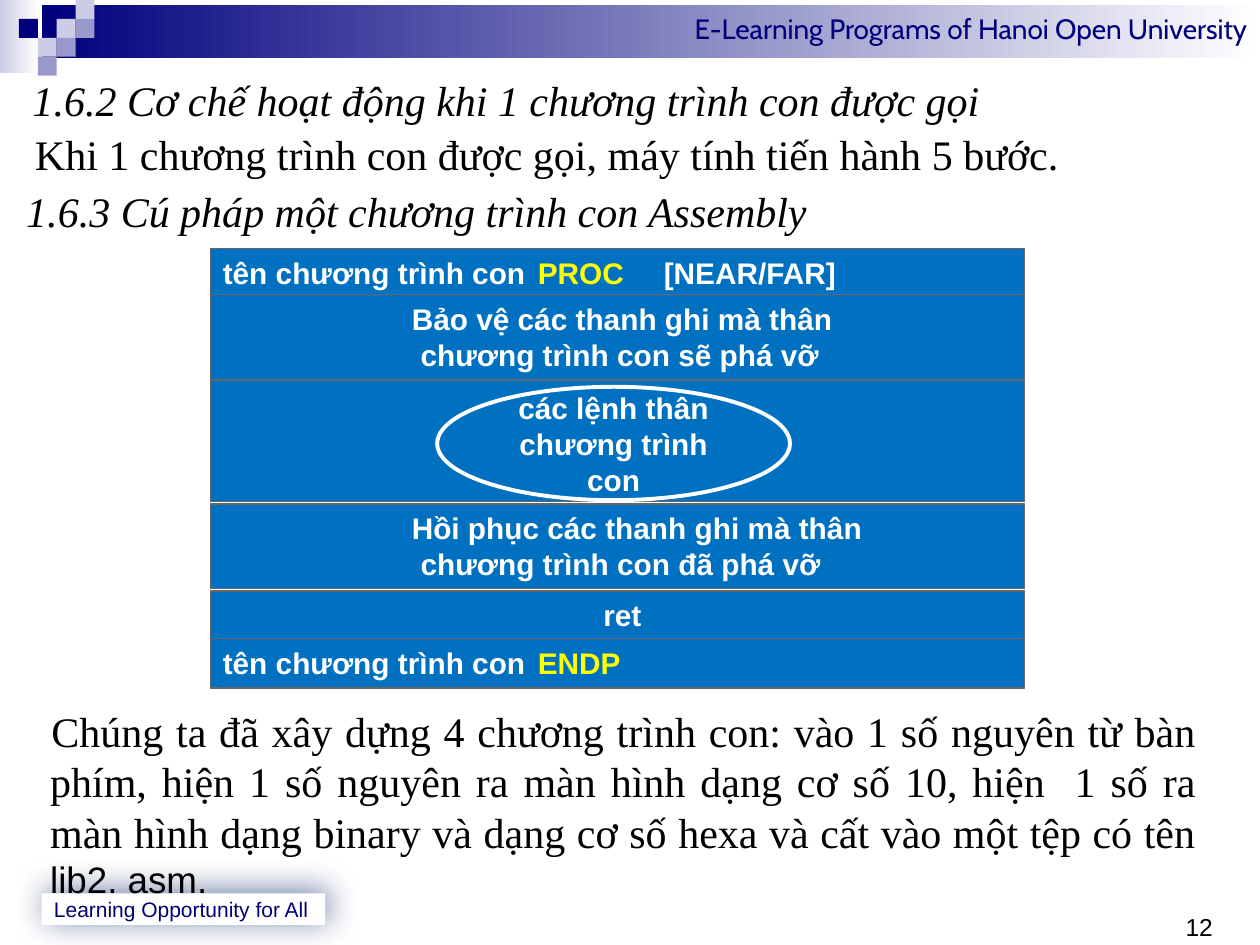
from lxml import etree
from pptx import Presentation
from pptx.dml.color import RGBColor
from pptx.enum.shapes import MSO_SHAPE
from pptx.enum.text import MSO_ANCHOR, PP_ALIGN
from pptx.oxml.ns import qn
from pptx.util import Inches, Pt

RECT, OVAL = MSO_SHAPE.RECTANGLE, MSO_SHAPE.OVAL
TOP, MIDDLE = MSO_ANCHOR.TOP, MSO_ANCHOR.MIDDLE
LEFT, CENTER = PP_ALIGN.LEFT, PP_ALIGN.CENTER
RIGHT, JUSTIFY = PP_ALIGN.RIGHT, PP_ALIGN.JUSTIFY

SERIF, SANS, HEADER_FONT = "Times New Roman", "Arial", "Cabin"
COLORS = {
    "navy": "00007D", "footer": "000072", "shadow": "002060",
    "pale": "CCCCE6", "lilac": "9999CC", "white": "FFFFFF", "black": "000000",
    "blue": "0070C0", "grey": "666666", "yellow": "FFFF00",
}
W, H = 10, 7.5
UNIT = 0.15                      # side of one checker square
ROW_X, ROW_W = 0.167 * W, 0.646 * W
INSET = 0.1                      # default side inset of a text frame

# Checker squares: column, row, colour
SQUARES = [
    (3, 1, "pale"), (4, 0, "pale"), (4, 1, "lilac"), (2, 2, "pale"),
    (1, 1, "navy"), (3, 2, "lilac"), (2, 3, "lilac"),
]
# Rows of the procedure: top, height, lines; a line is (indent, tabs, runs)
NAME = "tên chương trình con"
ROWS = [
    (1.97, 0.39, [(0, (2.86, 3.8), [(NAME + "\t", "white"), ("PROC\t", "yellow"),
                                    ("[NEAR/FAR]", "white")])]),
    (2.34, 0.67, [(1.5, (), [("Bảo vệ các thanh ghi mà thân", "white")]),
                  (1.57, (), [("chương trình con sẽ phá vỡ", "white")])]),
    (4, 0.67, [(1.5, (), [("Hồi phục các thanh ghi mà thân", "white")]),
               (1.57, (), [("chương trình con đã phá vỡ", "white")])]),
    (4.69, 0.39, [(3.02, (), [("ret", "white")])]),
    (5.07, 0.39, [(0, (2.92,), [(NAME + "\t", "white"), ("ENDP", "yellow")])]),
    (3.02, 0.96, []),
]


def rgb(name):
    return RGBColor.from_string(COLORS[name])


def add_box(s, kind, x, y, w, h, fill, line=None, width=0.75):
    """Preset shape with a plain fill, or a left-to-right gradient for a pair."""
    sp = s.shapes.add_shape(kind, Inches(x), Inches(y), Inches(w), Inches(h))
    sp.shadow.inherit = False
    if isinstance(fill, tuple):
        sp.fill.gradient()
        sp.fill.gradient_angle = 0
        for stop, name in zip(sp.fill.gradient_stops, fill):
            stop.color.rgb = rgb(name)
    else:
        sp.fill.solid()
        sp.fill.fore_color.rgb = rgb(fill)
    if line:
        sp.line.color.rgb = rgb(line)
        sp.line.width = Pt(width)
    else:
        sp.line.fill.background()
    return sp


def set_frame(sp, anchor=TOP, side=INSET, edge=0.05):
    tf = sp.text_frame
    tf.word_wrap = True
    tf.vertical_anchor = anchor
    tf.margin_left = tf.margin_right = Inches(side)
    tf.margin_top = tf.margin_bottom = Inches(edge)
    return tf


def add_text(s, x, y, w, h, side=INSET):
    return set_frame(s.shapes.add_textbox(Inches(x), Inches(y), Inches(w), Inches(h)), side=side)


def add_paragraph(tf, text, size, font, color, align=LEFT, first=True, italic=False, bold=False):
    p = tf.paragraphs[0] if first else tf.add_paragraph()
    p.alignment = align
    if text:
        p.add_run().text = text
    p.font.size, p.font.name = Pt(size), font
    p.font.italic, p.font.bold = italic, bold
    p.font.color.rgb = rgb(color)
    return p


def set_indent(p, margin, first_line=0, tabs=()):
    ppr = p._p.get_or_add_pPr()
    ppr.set("marL", str(Inches(margin)))
    ppr.set("indent", str(Inches(first_line)))
    if tabs:
        tab_list = etree.Element(qn("a:tabLst"))
        for pos in tabs:
            etree.SubElement(tab_list, qn("a:tab"), pos=str(Inches(pos)), algn="l")
        ppr.insert(0, tab_list)


def add_shadow(sp, color, alpha, blur, dist, angle):
    effects = sp._element.spPr.find(qn("a:effectLst"))
    shadow = etree.SubElement(
        effects, qn("a:outerShdw"), blurRad=str(Pt(blur)), dist=str(Pt(dist)),
        dir=str(angle * 60000), algn="bl", rotWithShape="0")
    clr = etree.SubElement(shadow, qn("a:srgbClr"), val=COLORS[color])
    etree.SubElement(clr, qn("a:alpha"), val=str(alpha * 1000))


def add_header(s):
    add_box(s, RECT, 0, 0, 0.31, 0.58, ("pale", "white"))
    band = add_box(s, RECT, 0.33, 0.04, W - 0.33, 0.42, ("navy", "white"))
    add_paragraph(set_frame(band), "E-Learning Programs of Hanoi Open University",
                  16, HEADER_FONT, "navy", RIGHT)
    for col, row, color in SQUARES:
        add_box(s, RECT, col * UNIT, row * UNIT, UNIT, UNIT, color)


def add_footer(s):
    sp = add_box(s, RECT, 0.33, 7.09, 2.25, 0.25, "white")
    add_shadow(sp, "shadow", 56, 19, 3, 315)
    add_paragraph(set_frame(sp, MIDDLE), "Learning Opportunity for All", 12, SANS, "footer")


def add_row(s, top, height, lines):
    tf = set_frame(add_box(s, RECT, ROW_X, top, ROW_W, height, "blue", "grey"))
    for i, (indent, tabs, runs) in enumerate(lines):
        p = add_paragraph(tf, "", 17, SANS, "white", first=i == 0, bold=True)
        set_indent(p, indent, tabs=tabs)
        for text, color in runs:
            r = p.add_run()
            r.text = text
            r.font.color.rgb = rgb(color)


def main():
    prs = Presentation()
    prs.slide_width, prs.slide_height = Inches(W), Inches(H)
    s = prs.slides.add_slide(prs.slide_layouts[6])
    add_header(s)
    add_footer(s)

    # Headings
    tf = add_text(s, 0.16, 0.54, 9.7, 0.9)
    add_paragraph(tf, "1.6.2 Cơ chế hoạt động khi 1 chương trình con được gọi",
                  24, SERIF, "black", italic=True)
    p = add_paragraph(tf, "Khi 1 chương trình con được gọi, máy tính tiến hành 5 bước.",
                      24, SERIF, "black", JUSTIFY, first=False)
    p.space_before = Pt(2)
    set_indent(p, 0.01, 0.01)
    tf = add_text(s, 0.11, 1.42, 9.62, 0.5)
    add_paragraph(tf, "1.6.3 Cú pháp một chương trình con Assembly",
                  24, SERIF, "black", italic=True)

    # Procedure syntax, with the body in an oval
    for row in ROWS:
        add_row(s, *row)
    oval = add_box(s, OVAL, 3.47, 3.07, 2.8, 0.9, "blue", "white", 2.25)
    add_paragraph(set_frame(oval, MIDDLE, 0, 0), "các lệnh thân chương trình con",
                  17, SANS, "white", CENTER, bold=True)

    # Closing remark
    tf = add_text(s, 0.29, 5.55, 9.3, 1.61)
    p = add_paragraph(
        tf, "Chúng ta đã xây dựng 4 chương trình con: vào 1 số nguyên từ bàn phím, "
        "hiện 1 số nguyên ra màn hình dạng cơ số 10, hiện  1 số ra màn hình dạng binary "
        "và dạng cơ số hexa và cất vào một tệp có tên ", 24, SERIF, "black", JUSTIFY)
    set_indent(p, 0.01, 0.01)
    r = p.add_run()
    r.text = "lib2. asm."
    r.font.size, r.font.name = Pt(21), SANS

    # Page number
    add_paragraph(add_text(s, 0.941 * W, 7.19, 0.3, 0.25, side=0), "12", 14, SANS, "black")
    prs.save("out.pptx")


if __name__ == "__main__":
    main()
